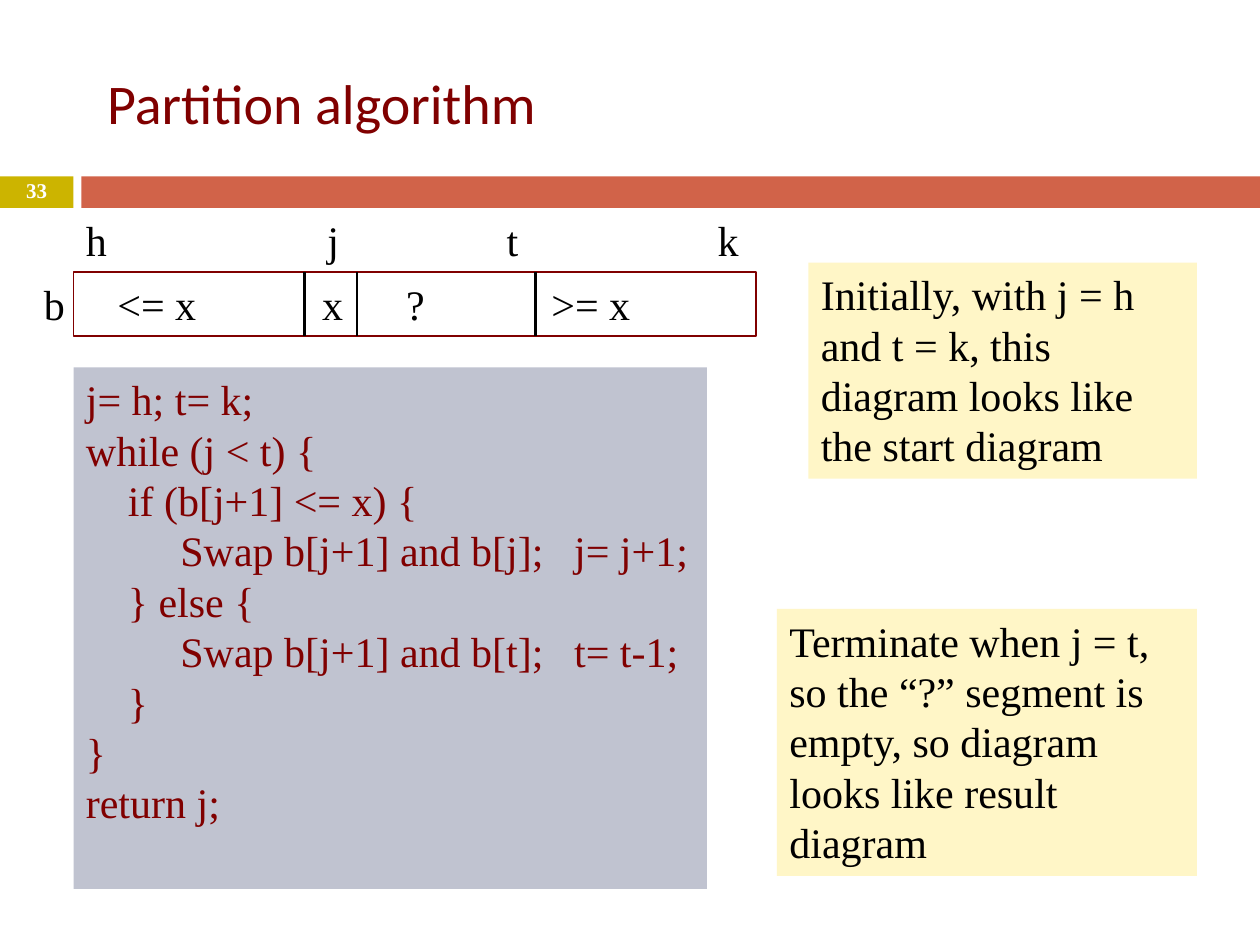
"""Build the partition algorithm slide with its array diagram, code and notes."""
from dataclasses import dataclass

from lxml.etree import SubElement
from pptx import Presentation
from pptx.dml.color import RGBColor
from pptx.enum.shapes import MSO_CONNECTOR as Connector, MSO_SHAPE as Shape
from pptx.enum.text import MSO_ANCHOR as Anchor, PP_ALIGN as Align
from pptx.oxml.ns import qn
from pptx.util import Pt

COLORS = {
    "maroon": "800000", "gold": "CCB400", "brick": "D16349", "slate": "C0C3D0",
    "cream": "FFF6C7", "black": "000000", "white": "FFFFFF",
}
BODY_FONT = "Times New Roman"


@dataclass(frozen=True)
class Panel:
    left: float
    top: float
    width: float
    height: float
    lines: tuple[str, ...] = ()
    fill: str | None = None
    border: str | None = None
    color: str = "black"
    size: float = 24
    bold: bool = False
    align: Align = Align.LEFT
    anchor: Anchor = Anchor.TOP
    spacing: float = 1.0
    tabs: tuple[float, ...] = ()


def rgb(name: str) -> RGBColor:
    return RGBColor.from_string(COLORS[name])


def add_text(paragraph, text: str, font: str, size: float, color: str, bold: bool = False) -> None:
    run = paragraph.add_run()
    run.text = text
    run.font.name = font
    run.font.size = Pt(size)
    run.font.bold = bold
    run.font.color.rgb = rgb(color)


def set_tabs(paragraph, stops: tuple[float, ...]) -> None:
    tab_list = SubElement(paragraph._p.get_or_add_pPr(), qn("a:tabLst"))
    for stop in stops:
        SubElement(tab_list, qn("a:tab"), pos=str(Pt(stop)), algn="l")


def draw_panel(slide, panel: Panel) -> None:
    box = slide.shapes.add_shape(
        Shape.RECTANGLE, Pt(panel.left), Pt(panel.top), Pt(panel.width), Pt(panel.height))
    box.shadow.inherit = False
    if panel.fill:
        box.fill.solid()
        box.fill.fore_color.rgb = rgb(panel.fill)
    else:
        box.fill.background()
    if panel.border:
        box.line.color.rgb = rgb(panel.border)
        box.line.width = Pt(1)
    else:
        box.line.fill.background()
    frame = box.text_frame
    frame.word_wrap = True
    frame.vertical_anchor = panel.anchor
    for index, line in enumerate(panel.lines):
        paragraph = frame.add_paragraph() if index else frame.paragraphs[0]
        paragraph.alignment = panel.align
        paragraph.line_spacing = panel.spacing
        if panel.tabs:
            set_tabs(paragraph, panel.tabs)
        add_text(paragraph, line, BODY_FONT, panel.size, panel.color, panel.bold)


def draw_divider(slide, x: float, top: float, bottom: float) -> None:
    divider = slide.shapes.add_connector(Connector.STRAIGHT, Pt(x), Pt(top), Pt(x), Pt(bottom))
    divider.line.color.rgb = rgb("black")
    divider.line.width = Pt(1.5)
    SubElement(divider._element.spPr, qn("a:effectLst"))


def draw_title(slide, text: str) -> None:
    title = slide.shapes.title
    title.left, title.top, title.width, title.height = Pt(54), Pt(21), Pt(612), Pt(75)
    frame = title.text_frame
    frame.vertical_anchor = Anchor.MIDDLE
    frame.margin_right = Pt(10)
    paragraph = frame.paragraphs[0]
    paragraph.alignment = Align.LEFT
    add_text(paragraph, text, "Calibri", 32, "maroon")


CODE = (
    "j= h; t= k;",
    "while (j < t) {",
    "\tif (b[j+1] <= x) {",
    "\t\tSwap b[j+1] and b[j];\tj= j+1;",
    "\t} else {",
    "\t\tSwap b[j+1] and b[t];\tt= t-1;",
    "\t}",
    "}",
    "return j;",
)
ARRAY_LEFT, ARRAY_TOP, ARRAY_WIDTH, ROW_HEIGHT = 42, 155.5, 390, 36.4
DIVIDERS = (174, 204, 306)

PANELS = (
    Panel(0, 100.8, 42, 18, fill="gold"),
    Panel(46.5, 100.8, 673.5, 18, fill="brick"),
    Panel(0, 100, 42, 19.5, ("33",), color="white", size=12, bold=True,
          align=Align.CENTER, anchor=Anchor.MIDDLE, spacing=0.8),
    Panel(ARRAY_LEFT, ARRAY_TOP, ARRAY_WIDTH, ROW_HEIGHT, ("\t<= x\tx\t?\t>= x",),
          border="maroon", tabs=(18, 135, 183, 266)),
    Panel(ARRAY_LEFT, ARRAY_TOP - ROW_HEIGHT, ARRAY_WIDTH, ROW_HEIGHT, ("h\tj\tt\tk",),
          tabs=(138, 240.5, 361)),
    Panel(18, ARRAY_TOP, 27, ROW_HEIGHT, ("b",)),
    Panel(42, 210, 362, 298, CODE, fill="slate", color="maroon", tabs=(24, 54, 279)),
    Panel(444, 348, 240, 152.5,
          ("Terminate when j = t, so the “?” segment is empty, so diagram looks like result diagram",),
          fill="cream"),
    Panel(462, 150, 222, 123.5,
          ("Initially, with j = h and t = k, this diagram looks like the start diagram",),
          fill="cream"),
)


def main() -> None:
    deck = Presentation()
    deck.slide_width, deck.slide_height = Pt(720), Pt(540)
    slide = deck.slides.add_slide(deck.slide_layouts[5])
    draw_title(slide, "Partition algorithm")
    for panel in PANELS:
        draw_panel(slide, panel)
    for x in DIVIDERS:
        draw_divider(slide, x, ARRAY_TOP, ARRAY_TOP + ROW_HEIGHT)
    deck.save("out.pptx")


main()
